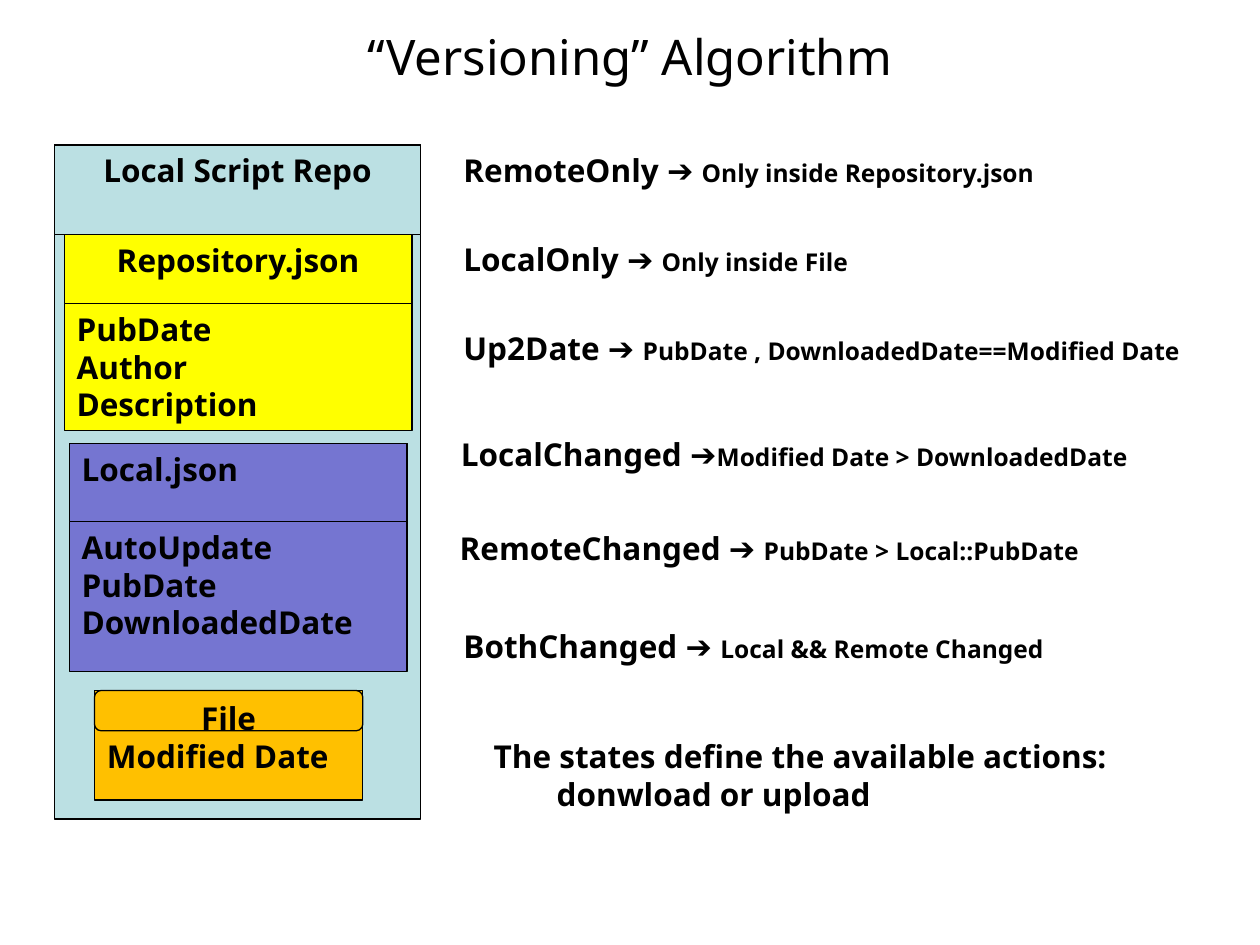
from pptx import Presentation
from pptx.dml.color import RGBColor
from pptx.enum.shapes import MSO_SHAPE
from pptx.enum.text import MSO_ANCHOR, PP_ALIGN
from pptx.util import Inches, Pt

FONT = "Noto Sans"
TITLE = "“Versioning” Algorithm"

# Cards: left, top, width, height, header height, header shape, fill,
# header text, header alignment, field names
CARDS = [
    (0.43, 1.15, 2.91, 5.35, 0.71, MSO_SHAPE.RECTANGLE, "BBE0E3",
     "Local Script Repo", PP_ALIGN.CENTER, []),
    (0.51, 1.86, 2.76, 1.56, 0.55, MSO_SHAPE.RECTANGLE, "FFFF00",
     "Repository.json", PP_ALIGN.CENTER, ["PubDate", "Author", "Description"]),
    (0.55, 3.52, 2.68, 1.81, 0.62, MSO_SHAPE.RECTANGLE, "7575D1",
     "Local.json", PP_ALIGN.LEFT, ["AutoUpdate", "PubDate", "DownloadedDate"]),
    (0.75, 5.48, 2.13, 0.87, 0.32, MSO_SHAPE.ROUNDED_RECTANGLE, "FFC000",
     "File", PP_ALIGN.CENTER, ["Modified Date"]),
]

# States: left, top, name, condition
STATES = [
    (3.58, 1.15, "RemoteOnly ➔ ", "Only inside Repository.json"),
    (3.58, 1.86, "LocalOnly ➔ ", "Only inside File"),
    (3.58, 2.56, "Up2Date ➔ ", "PubDate , DownloadedDate==Modified Date"),
    (3.56, 3.40, "LocalChanged ➔", "Modified Date > DownloadedDate"),
    (3.55, 4.15, "RemoteChanged ➔ ", "PubDate > Local::PubDate"),
    (3.58, 4.93, "BothChanged ➔ ", "Local && Remote Changed"),
]
SUMMARY = ["The states define the available actions:", "\tdonwload or upload"]
STATE_WIDTH = 6.14
LINE_HEIGHT = 0.3
PADDING = 0.1


def color(hex_value):
    return RGBColor.from_string(hex_value)


def write(shape, lines, size=18, bold=True, align=PP_ALIGN.LEFT,
          anchor=MSO_ANCHOR.TOP, wrap=True):
    """Fill a shape with lines, each a list of (text, own size or None) runs."""
    frame = shape.text_frame
    frame.word_wrap = wrap
    frame.vertical_anchor = anchor
    for index, runs in enumerate(lines):
        paragraph = frame.paragraphs[0] if index == 0 else frame.add_paragraph()
        paragraph.alignment = align
        paragraph.font.name = FONT
        paragraph.font.size = Pt(size)
        paragraph.font.bold = bold
        paragraph.font.color.rgb = color("000000")
        for text, own_size in runs:
            run = paragraph.add_run()
            run.text = text
            if own_size:
                run.font.size = Pt(own_size)


def plain(lines):
    return [[(line, None)] for line in lines]


def add_text(slide, left, top, width, height, lines, **style):
    box = slide.shapes.add_textbox(*map(Inches, (left, top, width, height)))
    write(box, lines, **style)


def add_block(slide, kind, left, top, width, height, fill):
    block = slide.shapes.add_shape(kind, *map(Inches, (left, top, width, height)))
    block.shadow.inherit = False
    block.fill.solid()
    block.fill.fore_color.rgb = color(fill)
    block.line.color.rgb = color("000000")
    block.line.width = Pt(0.75)
    return block


def add_card(slide, left, top, width, height, header_height, header_shape,
             fill, header, align, fields):
    add_block(slide, MSO_SHAPE.RECTANGLE, left, top, width, height, fill)
    head = add_block(slide, header_shape, left, top, width, header_height, fill)
    write(head, plain([header]), align=align)
    if fields:
        add_text(slide, left, top + header_height, width,
                 PADDING + LINE_HEIGHT * len(fields), plain(fields))


def main():
    presentation = Presentation()
    presentation.slide_width = Inches(10)
    presentation.slide_height = Inches(7.5)
    slide = presentation.slides.add_slide(presentation.slide_layouts[6])

    add_text(slide, 0.5, 0, 9, 0.88, plain([TITLE]), size=28, bold=False,
             align=PP_ALIGN.CENTER, anchor=MSO_ANCHOR.MIDDLE)
    for card in CARDS:
        add_card(slide, *card)
    for left, top, name, condition in STATES:
        add_text(slide, left, top, STATE_WIDTH, PADDING + LINE_HEIGHT,
                 [[(name, None), (condition, 14)]])
    add_text(slide, 3.82, 5.8, 5.26, PADDING + LINE_HEIGHT * len(SUMMARY),
             plain(SUMMARY), wrap=False)

    presentation.save("out.pptx")


if __name__ == "__main__":
    main()
